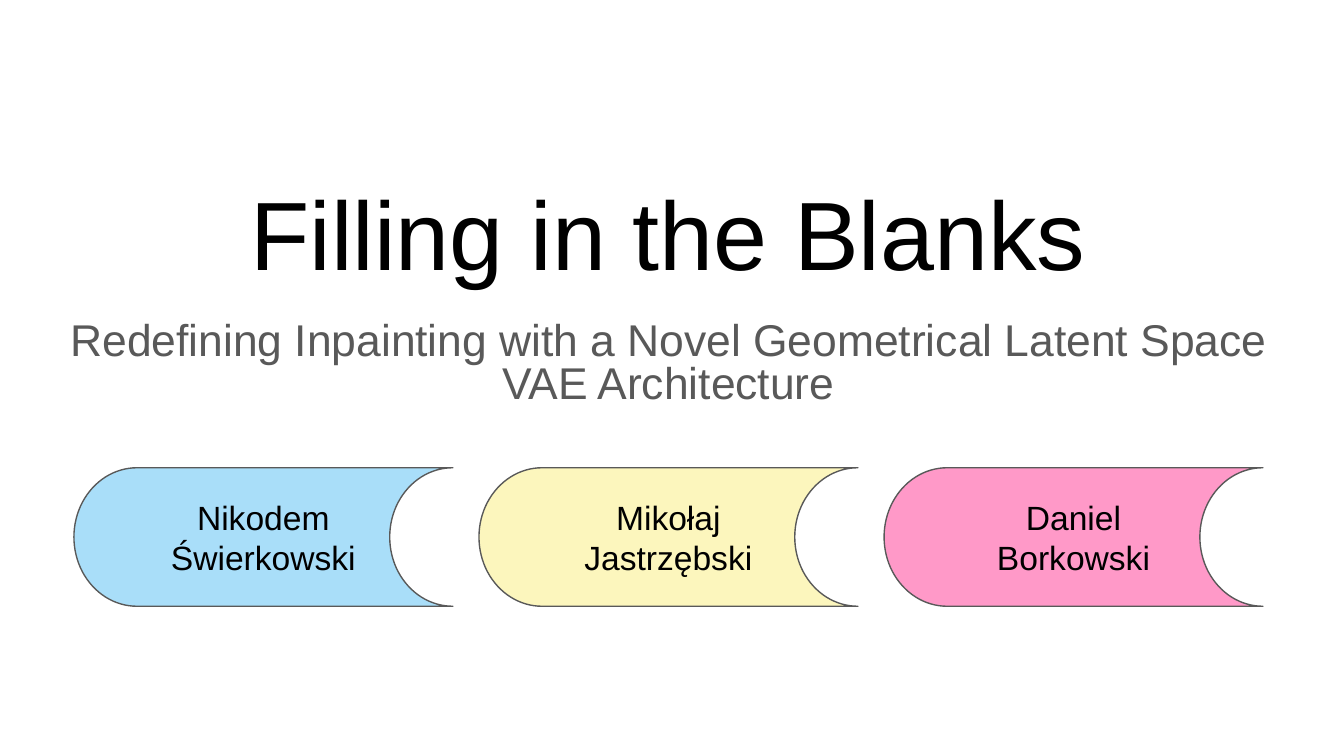
from dataclasses import dataclass

import pptx
import pptx.dml.color
import pptx.enum.shapes
import pptx.enum.text
import pptx.util

Pt = pptx.util.Pt
RGB = pptx.dml.color.RGBColor.from_string
Anchor = pptx.enum.text.MSO_ANCHOR


@dataclass(frozen=True)
class Theme:
    """Colours, font and type sizes of the slide."""
    font: str = "Arial"
    paper: str = "FFFFFF"
    ink: str = "000000"
    muted: str = "595959"
    authors: tuple = ("A9DEF9", "FCF6BD", "FF99C8")
    title_size: float = 52
    subtitle_size: float = 23.8
    author_size: float = 18
    inset: float = 7.2
    outline: float = 0.75


THEME = Theme()


def place(sp, box):
    """Move a shape to a box of left, top, width and height in points."""
    sp.left, sp.top, sp.width, sp.height = (Pt(v) for v in box)


def write(sp, lines, size, color, anchor, spacing=1.0):
    """Fill a shape with centred paragraphs in one style."""
    tf = sp.text_frame
    tf.text = "\n".join(lines)
    tf.word_wrap = True
    tf.auto_size = pptx.enum.text.MSO_AUTO_SIZE.NONE
    tf.vertical_anchor = anchor
    tf.margin_left = tf.margin_right = Pt(THEME.inset)
    tf.margin_top = tf.margin_bottom = Pt(THEME.inset)
    for p in tf.paragraphs:
        p.alignment = pptx.enum.text.PP_ALIGN.CENTER
        p.line_spacing = spacing
        p.space_before = p.space_after = Pt(0)
        p.font.name = THEME.font
        p.font.size = Pt(size)
        p.font.color.rgb = RGB(color)


def add_heading(s, box, title, subtitle):
    """Set the title above the subtitle within the box."""
    left, top, width, height = box
    title_height, gap = 83.5, 2.9
    sub_top = title_height + gap
    sp = s.shapes.title
    place(sp, (left, top, width, title_height))
    sp.fill.solid()
    sp.fill.fore_color.rgb = RGB(THEME.paper)
    write(sp, [title], THEME.title_size, THEME.ink, Anchor.BOTTOM)
    sp = s.placeholders[1]
    place(sp, (left, top + sub_top, width, height - sub_top))
    write(sp, [subtitle], THEME.subtitle_size, THEME.muted, Anchor.TOP, 0.8)


def add_authors(s, box, authors, gap=14):
    """Spread the author tags evenly across the box."""
    left, top, width, height = box
    tag_width = (width - gap * (len(authors) - 1)) / len(authors)
    for i, (lines, color) in enumerate(zip(authors, THEME.authors)):
        sp = s.shapes.add_shape(
            pptx.enum.shapes.MSO_SHAPE.FLOWCHART_STORED_DATA, 0, 0, 0, 0)
        place(sp, (left + i * (tag_width + gap), top, tag_width, height))
        sp.shadow.inherit = False
        sp.fill.solid()
        sp.fill.fore_color.rgb = RGB(color)
        sp.line.color.rgb = RGB(THEME.muted)
        sp.line.width = Pt(THEME.outline)
        write(sp, lines, THEME.author_size, THEME.ink, Anchor.MIDDLE)


def main():
    """Build and save the title slide."""
    prs = pptx.Presentation()
    prs.slide_width, prs.slide_height = Pt(720), Pt(405)
    s = prs.slides.add_slide(prs.slide_layouts[0])
    s.background.fill.solid()
    s.background.fill.fore_color.rgb = RGB(THEME.paper)
    add_heading(
        s, (22.5, 79.2, 671, 149), "Filling in the Blanks",
        "Redefining Inpainting with a Novel Geometrical Latent Space "
        "VAE Architecture")
    add_authors(s, (39.6, 250.6, 637, 74.2), [
        ["Nikodem", "Świerkowski"],
        ["Mikołaj", "Jastrzębski"],
        ["Daniel Borkowski"],
    ])
    prs.save("out.pptx")


if __name__ == "__main__":
    main()
